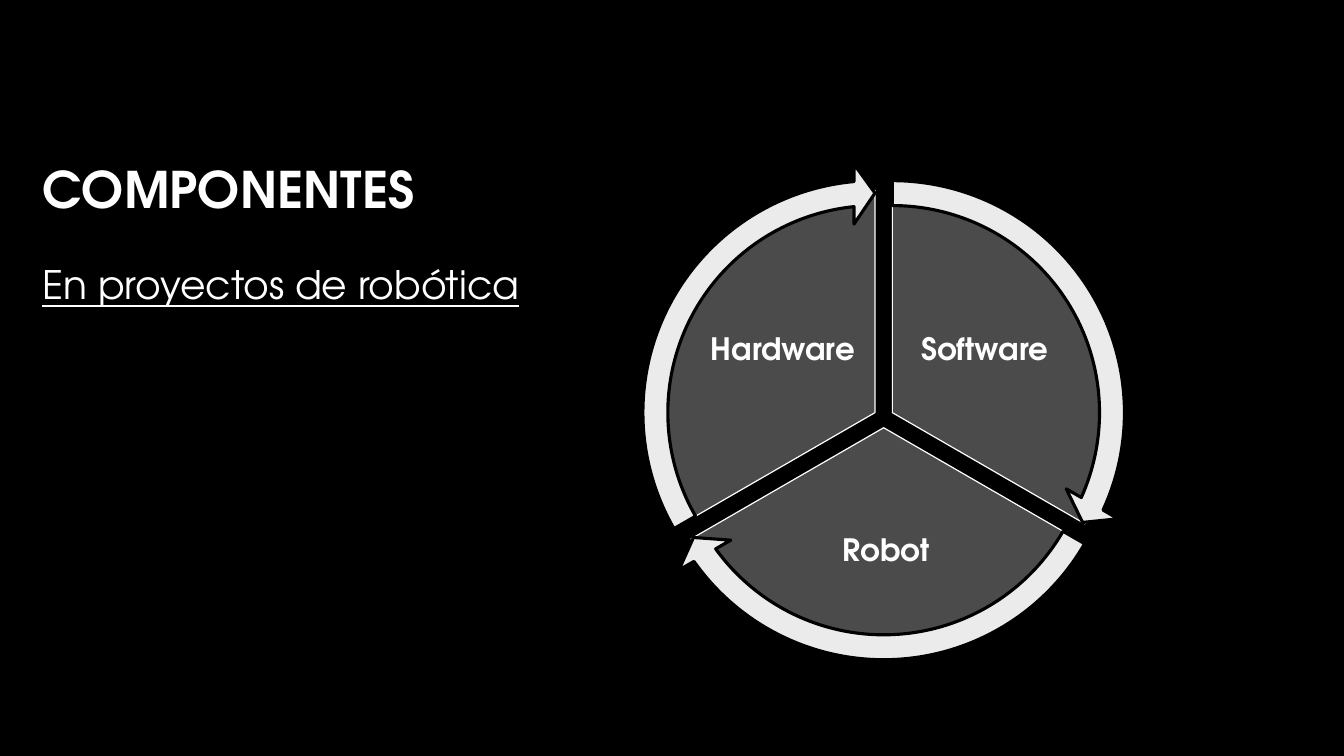
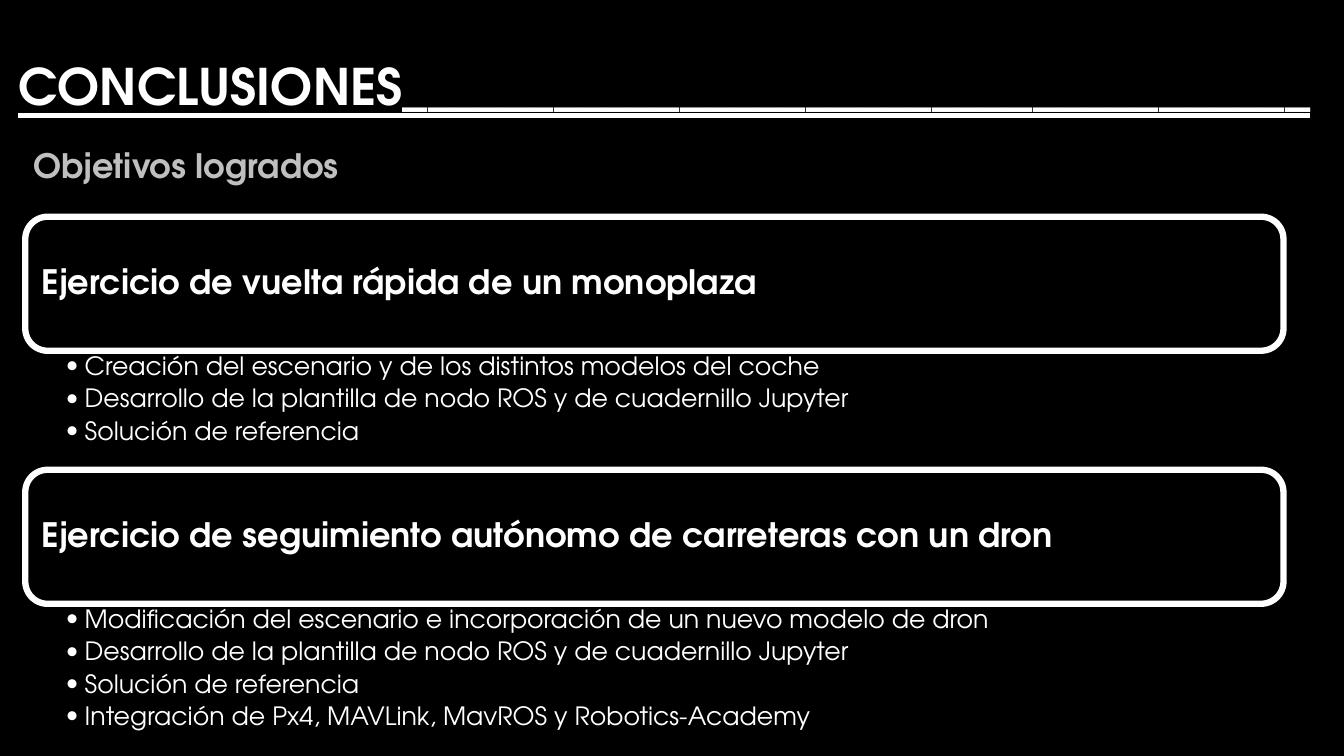
from dataclasses import dataclass
from math import cos, radians, sin

from lxml.etree import SubElement
from pptx import Presentation
from pptx.dml.color import RGBColor
from pptx.enum.shapes import MSO_SHAPE
from pptx.enum.text import MSO_ANCHOR, MSO_AUTO_SIZE, PP_ALIGN
from pptx.oxml.ns import qn
from pptx.util import Inches, Pt


@dataclass(frozen=True)
class Theme:
    font: str = "TeX Gyre Adventor"
    back: RGBColor = RGBColor(0, 0, 0)
    ink: RGBColor = RGBColor(255, 255, 255)
    soft: RGBColor = RGBColor(0xBF, 0xBF, 0xBF)
    slice: RGBColor = RGBColor(0x4B, 0x4B, 0x4B)
    ring: RGBColor = RGBColor(0xEB, 0xEB, 0xEB)
    title: int = 36
    sub: int = 28
    head: int = 24
    label: int = 22
    item: int = 18


look = Theme()
deck = Presentation()
deck.slide_width, deck.slide_height = Inches(13.33), Inches(7.5)
wide, high = deck.slide_width, deck.slide_height
fill = deck.slide_master.background.fill
fill.solid()
fill.fore_color.rgb = look.back


def spot(left, top, width, height):
    """Turn percentages of the slide's size into lengths."""
    return [int(share * side / 100)
            for share, side in zip((left, top, width, height), (wide, high) * 2)]


def write(shape, text, size, bold=False, color=look.ink, pad=(0.13, 0.07),
          anchor=MSO_ANCHOR.TOP, align=PP_ALIGN.LEFT, line=0.9):
    """Fill a shape with text in the deck's style; pad is (sides, top and bottom)."""
    frame = shape.text_frame
    frame.text = text
    frame.word_wrap = True
    frame.auto_size = MSO_AUTO_SIZE.NONE
    frame.vertical_anchor = anchor
    frame.margin_left = frame.margin_right = Inches(pad[0])
    frame.margin_top = frame.margin_bottom = Inches(pad[1])
    for para in frame.paragraphs:
        para.alignment = align
        para.line_spacing = line
        for run in para.runs:
            font = run.font
            font.name, font.size, font.bold = look.font, Pt(size), bold
            font.color.rgb = color
    return frame


# Slides and their titles
pages = []
for text, place, under in (
    ("COMPONENTES", (2.18, 20.67, 33.08, 9.33), False),
    ("CONCLUSIONES" + "_" * 36, (0.38, 5.87, 98.65, 10.53), True),
):
    page = deck.slides.add_slide(deck.slide_layouts[5])
    title = page.shapes.title
    title.left, title.top, title.width, title.height = spot(*place)
    frame = write(title, text, look.title, bold=True, anchor=MSO_ANCHOR.BOTTOM)
    frame.paragraphs[0].runs[0].font.underline = under
    pages.append(page.shapes)
parts, goals = pages

# Components: a wheel of three sectors inside a ring of arrows
box = parts.add_textbox(*spot(2.18, 34.27, 38.41, 8))
frame = write(box, "En proyectos de robótica", look.sub)
frame.paragraphs[0].runs[0].font.underline = True

hub_x, hub_y = 0.6575 * wide, 0.5525 * high
push = 0.0133 * high   # gap between each sector and the hub
turn = 0.6             # adjustment units per degree
sweep = 120
tip = 3.28             # length of an arrow's head along the ring
for kind, share, color, edge, weight in (
    (MSO_SHAPE.PIE, 0.588, look.slice, look.ink, 0.85),
    (MSO_SHAPE.CIRCULAR_ARROW, 0.66, look.ring, look.back, 2.25),
):
    side = int(share * high)
    for step in range(3):
        start = (270 + sweep * step) % 360
        end = (start + sweep) % 360
        mid = radians(start + sweep / 2)
        left = int(hub_x + push * cos(mid) - side / 2)
        top = int(hub_y + push * sin(mid) - side / 2)
        disc = parts.add_shape(kind, left, top, side, side)
        if kind == MSO_SHAPE.PIE:
            bends = (start * turn, end * turn)
        else:
            bends = (0.05, tip, end * turn - tip, start * turn, 0.06)
        for index, bend in enumerate(bends):
            disc.adjustments[index] = bend
        disc.shadow.inherit = False
        disc.fill.solid()
        disc.fill.fore_color.rgb = color
        disc.line.color.rgb = edge
        disc.line.width = Pt(weight)

for text, place in (
    ("Software", (67.37, 37.6, 11.78, 17.47)),
    ("Robot", (57.09, 65.33, 17.7, 15.33)),
    ("Hardware", (52.36, 37.6, 11.78, 17.47)),
):
    write(parts.add_textbox(*spot(*place)), text, look.label, bold=True,
          pad=(0.03, 0.03), anchor=MSO_ANCHOR.MIDDLE, align=PP_ALIGN.CENTER)

# Conclusions: framed headings, each with its list
box = goals.add_textbox(*spot(1.73, 18.53, 24.53, 6.67))
frame = write(box, "Objetivos logrados", look.head, bold=True, color=look.soft,
              pad=(0.1, 0.05), anchor=MSO_ANCHOR.MIDDLE, line=1.0)
frame.word_wrap = False

edge, span, first, pitch, tall = 1.88, 93.62, 28.67, 33.47, 17.73
for row, (head, items) in enumerate((
    ("Ejercicio de vuelta rápida de un monoplaza", (
        "Creación del escenario y de los distintos modelos del coche",
        "Desarrollo de la plantilla de nodo ROS y de cuadernillo Jupyter",
        "Solución de referencia")),
    ("Ejercicio de seguimiento autónomo de carreteras con un dron", (
        "Modificación del escenario e incorporación de un nuevo modelo de dron",
        "Desarrollo de la plantilla de nodo ROS y de cuadernillo Jupyter",
        "Solución de referencia",
        "Integración de Px4, MAVLink, MavROS y Robotics-Academy")),
)):
    top = first + pitch * row
    card = goals.add_shape(MSO_SHAPE.ROUNDED_RECTANGLE, *spot(edge, top, span, tall))
    card.shadow.inherit = False
    card.fill.background()
    card.line.color.rgb = look.ink
    card.line.width = Pt(4.5)
    write(card, head, look.head, bold=True, pad=(0.1, 0.1), anchor=MSO_ANCHOR.MIDDLE)

    depth = 4.53 * len(items)
    box = goals.add_textbox(*spot(edge, top + tall, span, depth))
    frame = write(box, "\n".join(items), look.item, pad=(0.4, 0.03))
    for para in frame.paragraphs:
        para.space_after = Pt(0.2 * look.item)
        props = para._p.get_or_add_pPr()
        props.set("marL", str(Inches(0.19)))
        props.set("indent", str(-Inches(0.19)))
        SubElement(props, qn("a:buFont")).set("typeface", look.font)
        SubElement(props, qn("a:buChar")).set("char", "•")

deck.save("out.pptx")
